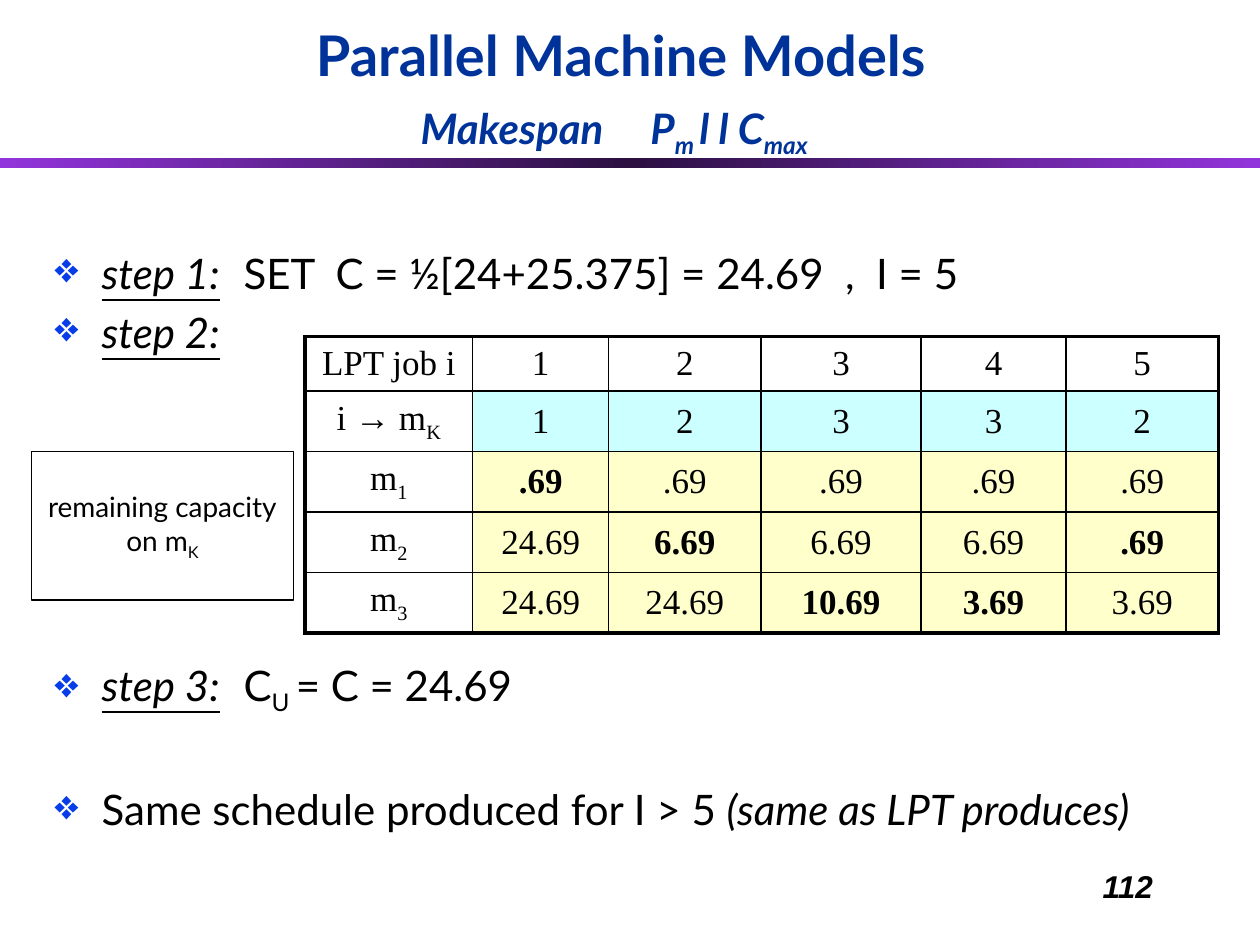
from pptx import Presentation
from pptx.dml.color import RGBColor
from pptx.enum.shapes import MSO_SHAPE
from pptx.enum.text import MSO_ANCHOR, PP_ALIGN
from pptx.oxml import parse_xml
from pptx.oxml.ns import nsdecls, qn
from pptx.util import Cm, Pt

RECTANGLE = MSO_SHAPE.RECTANGLE
TOP, MIDDLE, BOTTOM = MSO_ANCHOR.TOP, MSO_ANCHOR.MIDDLE, MSO_ANCHOR.BOTTOM
LEFT, CENTER, RIGHT = PP_ALIGN.LEFT, PP_ALIGN.CENTER, PP_ALIGN.RIGHT

BLACK = RGBColor(0x00, 0x00, 0x00)
NAVY = RGBColor(0x00, 0x33, 0x99)
BULLET_BLUE = RGBColor(0x06, 0x3D, 0xE8)
PURPLE = RGBColor(0x92, 0x34, 0xDB)
DARK_PURPLE = RGBColor(0x2B, 0x10, 0x41)
CYAN = RGBColor(0xCC, 0xFF, 0xFF)
YELLOW = RGBColor(0xFF, 0xFF, 0xCC)

SUB = {"baseline": -25000}
BOLD = {"bold": True}
ITALIC = {"italic": True}
STEP = {"italic": True, "underline": True}
TITLE = {"size": Pt(32), "name": "Lato", "bold": True}
SUBTITLE = {"size": Pt(24), "italic": True}
BODY = {"size": Pt(24), "name": "Lato"}
CELL = {"size": Pt(20), "name": "Times New Roman"}
NOTE = {"size": Pt(16), "name": "Lato"}
PAGE = {"size": Pt(18), "name": "Arial", "bold": True, "italic": True}

# Each paragraph is a list of (text, format) runs.
HEADING = [
    ("Parallel Machine Models\v", {}),
    ("Makespan", SUBTITLE),
    (" ", SUBTITLE | {"spc": 2160}),
    ("P", SUBTITLE), ("m ", SUBTITLE | SUB),
    ("l l C", SUBTITLE), ("max", SUBTITLE | SUB), (" ", {}),
]
# (lines left free above, runs)
STEPS = [
    (0, [("step 1:", STEP), ("\tSET  C = ½[24+25.375] = 24.69  ,  I = 5", {})]),
    (0, [("step 2:", STEP)]),
    (5, [("step 3:", STEP), ("\tC", {}), ("U ", SUB), ("= C = 24.69", {})]),
    (1, [("Same schedule produced for I > 5 ", {}),
         ("(same as LPT produces)", ITALIC)]),
]
CAPACITY_NOTE = [[("remaining capacity", {})], [("on m", {}), ("K", SUB)]]

# (row label, subscript, values, fill)
SCHEDULE = [
    ("LPT job i", "", ["1", "2", "3", "4", "5"], None),
    ("i → m", "K", ["1", "2", "3", "3", "2"], CYAN),
    ("m", "1", [".69", ".69", ".69", ".69", ".69"], YELLOW),
    ("m", "2", ["24.69", "6.69", "6.69", "6.69", ".69"], YELLOW),
    ("m", "3", ["24.69", "24.69", "10.69", "3.69", "3.69"], YELLOW),
]
CHANGED = {(2, 1), (3, 2), (3, 5), (4, 3), (4, 4)}
COLUMN_WIDTHS = [3.38, 2.74, 3.07, 3.23, 2.92, 3.07]
ROW_HEIGHTS = [1.08, 1.22, 1.22, 1.22, 1.22]
THIN, THICK = Pt(1), Pt(2.25)
STEP_GAP, STEP_PITCH = 4.8, 33.6


def write_runs(paragraph, runs, base, color=BLACK, align=LEFT):
    paragraph.alignment = align
    for text, changes in runs:
        run = paragraph.add_run()
        run.text = text
        if "\v" in text:
            run.text = text.rstrip("\v")
            paragraph.add_line_break()
        run.font.color.rgb = color
        for key, value in (base | changes).items():
            if key in ("baseline", "spc"):
                run.font._element.set(key, str(value))
            else:
                setattr(run.font, key, value)


def add_text(slide, box, anchor=TOP):
    frame = slide.shapes.add_textbox(*map(Cm, box)).text_frame
    frame.word_wrap = True
    frame.vertical_anchor = anchor
    return frame


def add_rectangle(slide, box):
    rectangle = slide.shapes.add_shape(RECTANGLE, *map(Cm, box))
    rectangle.shadow.inherit = False
    rectangle.fill.background()
    return rectangle


def add_rule(slide):
    rule = add_rectangle(slide, (0, 3.18, 25.4, 0.2))
    rule.line.fill.background()
    stops = "".join(
        f'<a:gs pos="{pos}"><a:srgbClr val="{color}"/></a:gs>'
        for pos, color in [(0, PURPLE), (50000, DARK_PURPLE), (100000, PURPLE)])
    properties = rule._element.spPr
    properties.replace(properties.find(qn("a:noFill")), parse_xml(
        f'<a:gradFill {nsdecls("a")}><a:gsLst>{stops}</a:gsLst>'
        '<a:lin ang="0" scaled="0"/></a:gradFill>'))


def add_bullet(paragraph):
    properties = paragraph._p.get_or_add_pPr()
    properties.set("marL", str(Cm(0.95)))
    properties.set("indent", str(-Cm(0.95)))
    for tag in (f'<a:buClr {nsdecls("a")}><a:srgbClr val="{BULLET_BLUE}"/></a:buClr>',
                f'<a:buChar {nsdecls("a")} char="❖"/>'):
        properties.append(parse_xml(tag))


def add_steps(slide):
    frame = add_text(slide, (0.85, 4.87, 23.92, 13.34))
    for index, (free_lines, runs) in enumerate(STEPS):
        paragraph = frame.add_paragraph() if index else frame.paragraphs[0]
        write_runs(paragraph, runs, BODY)
        paragraph.space_before = Pt(STEP_GAP + free_lines * STEP_PITCH)
        add_bullet(paragraph)


def set_borders(cell, row, column):
    last_row, last_column = len(ROW_HEIGHTS) - 1, len(COLUMN_WIDTHS) - 1
    outer_sides = {"L": column == 0, "R": column == last_column,
                   "T": row == 0, "B": row == last_row}
    properties = cell._tc.get_or_add_tcPr()
    for position, (side, outer) in enumerate(outer_sides.items()):
        properties.insert(position, parse_xml(
            f'<a:ln{side} {nsdecls("a")} w="{THICK if outer else THIN}"><a:solidFill>'
            f'<a:srgbClr val="{BLACK}"/></a:solidFill></a:ln{side}>'))


def add_schedule(slide):
    table = slide.shapes.add_table(
        len(ROW_HEIGHTS), len(COLUMN_WIDTHS), Cm(6.15), Cm(6.78),
        Cm(sum(COLUMN_WIDTHS)), Cm(sum(ROW_HEIGHTS))).table
    table.first_row = table.horz_banding = False
    for column, width in zip(table.columns, COLUMN_WIDTHS):
        column.width = Cm(width)
    for row, (label, subscript, values, fill) in enumerate(SCHEDULE):
        table.rows[row].height = Cm(ROW_HEIGHTS[row])
        label_runs = [(label, {})] + ([(subscript, SUB)] if subscript else [])
        value_runs = [[(value, BOLD if (row, column) in CHANGED else {})]
                      for column, value in enumerate(values, 1)]
        for column, runs in enumerate([label_runs] + value_runs):
            cell = table.cell(row, column)
            cell.vertical_anchor = MIDDLE
            write_runs(cell.text_frame.paragraphs[0], runs, CELL, align=CENTER)
            if fill and column:
                cell.fill.solid()
                cell.fill.fore_color.rgb = fill
            else:
                cell.fill.background()
            set_borders(cell, row, column)


def add_capacity_note(slide):
    note = add_rectangle(slide, (0.63, 9.1, 5.29, 3))
    note.line.color.rgb = BLACK
    note.line.width = Pt(0.75)
    frame = note.text_frame
    frame.word_wrap = True
    frame.vertical_anchor = MIDDLE
    for index, runs in enumerate(CAPACITY_NOTE):
        paragraph = frame.add_paragraph() if index else frame.paragraphs[0]
        write_runs(paragraph, runs, NOTE, align=CENTER)


def main():
    deck = Presentation()
    deck.slide_width, deck.slide_height = Cm(25.4), Cm(19.05)
    slide = deck.slides.add_slide(deck.slide_layouts[6])
    add_rule(slide)
    page = add_text(slide, (18.2, 17.35, 5.29, 1.27))
    write_runs(page.paragraphs[0], [("112", {})], PAGE, align=RIGHT)
    add_steps(slide)
    heading = add_text(slide, (0.63, 0.42, 23.78, 2.92), BOTTOM)
    write_runs(heading.paragraphs[0], HEADING, TITLE, NAVY, CENTER)
    add_schedule(slide)
    add_capacity_note(slide)
    deck.save("out.pptx")


if __name__ == "__main__":
    main()
